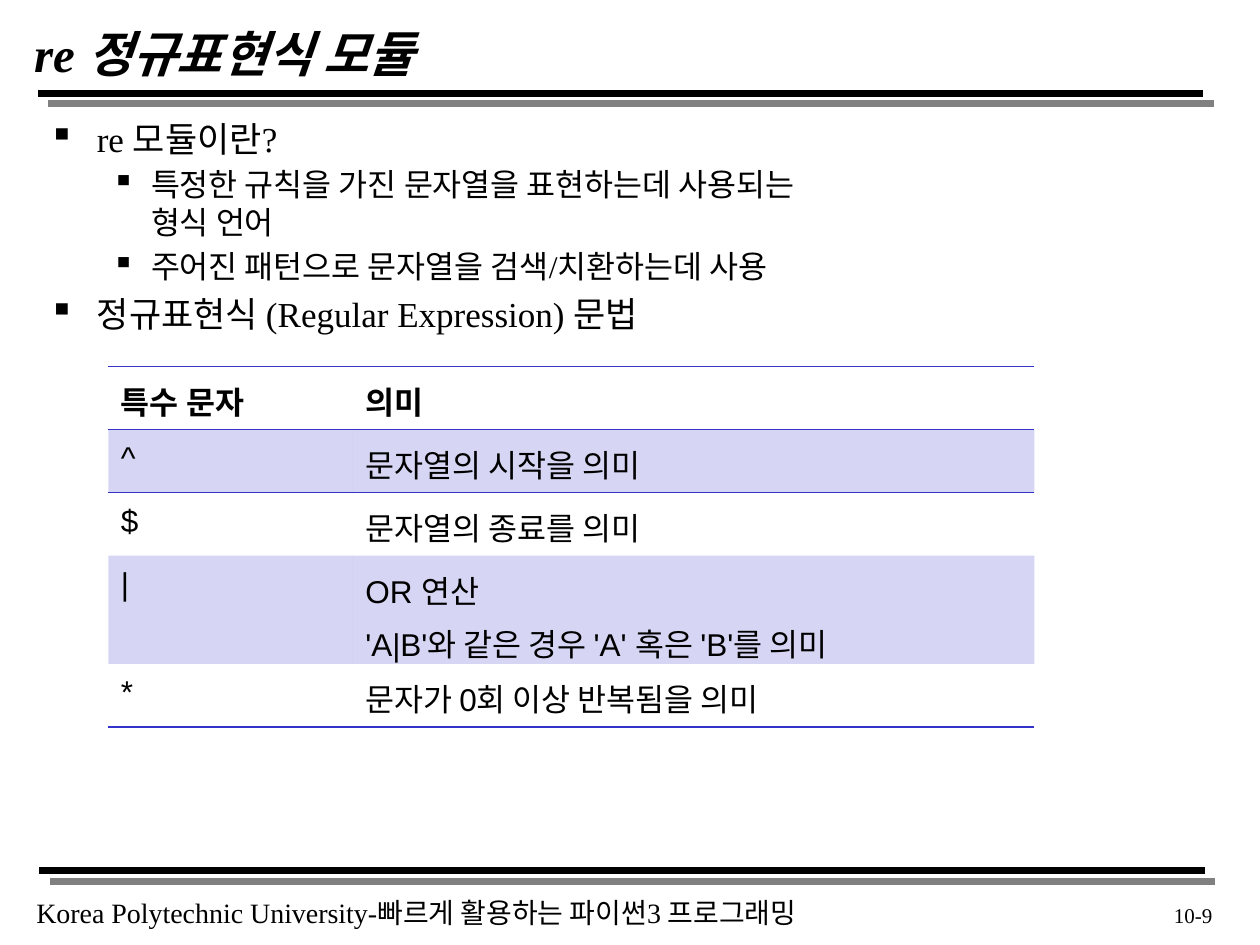
from lxml.etree import SubElement
from pptx import Presentation
from pptx.dml.color import RGBColor
from pptx.enum.shapes import MSO_CONNECTOR
from pptx.enum.text import MSO_ANCHOR, PP_ALIGN
from pptx.oxml import parse_xml
from pptx.oxml.ns import nsdecls, qn
from pptx.util import Inches, Pt

COLORS = {"ink": "000000", "shadow": "808080", "accent": "3333CC"}
SERIF, SANS = "Times New Roman", "Arial"
NO_STYLE = "{2D5ABB26-0587-4C30-8999-92F81FD0307C}"

TITLE = "re 정규표현식 모듈"
FOOTER = "Korea Polytechnic University-빠르게 활용하는 파이썬3 프로그래밍"
PAGE_NUMBER = "10-9"
# Outline level and text; \v is a line break
BULLETS = [
    (0, "re 모듈이란?"),
    (1, "특정한 규칙을 가진 문자열을 표현하는데 사용되는 \v형식 언어"),
    (1, "주어진 패턴으로 문자열을 검색/치환하는데 사용"),
    (0, "정규표현식 (Regular Expression) 문법"),
]
# Size, left margin and hanging indent of each level
LEVELS = [(20, 0.38, 0.38), (18, 0.81, 0.31)]
SYNTAX = [
    ("특수 문자", "의미"),
    ("^", "문자열의 시작을 의미"),
    ("$", "문자열의 종료를 의미"),
    ("|", "OR 연산\n'A|B'와 같은 경우 'A' 혹은 'B'를 의미"),
    ("*", "문자가 0회 이상 반복됨을 의미"),
]
COLUMN_WIDTHS = [1.94, 5.41]
ROW_HEIGHTS = [0.5, 0.5, 0.5, 0.86, 0.5]
RULES = [(0.3, 0.74), (0.31, 6.91)]
RULE_LENGTH = 9.25


def write(paragraph, text, size, name=SERIF, **formats):
    paragraph.text = text
    values = {"size": Pt(size), "name": name, **formats}
    for span in paragraph.runs:
        for key, value in values.items():
            setattr(span.font, key, value)
        span.font.color.rgb = RGBColor.from_string(COLORS["ink"])


def add_text_box(page, left, top, width, height, wrap=True):
    box = page.shapes.add_textbox(*map(Inches, (left, top, width, height)))
    box.text_frame.word_wrap = wrap
    return box.text_frame


def add_rule(page, left, top):
    rule = page.shapes.add_connector(
        MSO_CONNECTOR.STRAIGHT,
        Inches(left), Inches(top), Inches(left + RULE_LENGTH), Inches(top))
    rule.line.width = Pt(4)
    rule.line.color.rgb = RGBColor.from_string(COLORS["ink"])
    rule._element.spPr.append(parse_xml(
        f'<a:effectLst {nsdecls("a")}>'
        f'<a:outerShdw dist="{Pt(8.5)}" dir="2700000" algn="ctr" rotWithShape="0">'
        f'<a:srgbClr val="{COLORS["shadow"]}"/></a:outerShdw></a:effectLst>'))


def add_bullet(paragraph, margin, hanging):
    properties = paragraph._p.get_or_add_pPr()
    properties.set("marL", str(Inches(margin)))
    properties.set("indent", str(-Inches(hanging)))
    SubElement(properties, qn("a:buChar")).set("char", "▪")


def add_border(cell, side):
    # Borders come before the fill in the cell properties
    cell._tc.get_or_add_tcPr().insert(0, parse_xml(
        f'<a:{side} {nsdecls("a")} w="{Pt(1)}"><a:solidFill>'
        f'<a:srgbClr val="{COLORS["accent"]}"/></a:solidFill></a:{side}>'))


def add_syntax_table(page):
    frame = page.shapes.add_table(
        len(SYNTAX), len(COLUMN_WIDTHS), Inches(0.86), Inches(2.91),
        Inches(sum(COLUMN_WIDTHS)), Inches(sum(ROW_HEIGHTS)))
    table = frame.table
    table._tbl.tblPr.find(qn("a:tableStyleId")).text = NO_STYLE
    for column, width in zip(table.columns, COLUMN_WIDTHS):
        column.width = Inches(width)
    for row, height in zip(table.rows, ROW_HEIGHTS):
        row.height = Inches(height)

    for row_index, texts in enumerate(SYNTAX):
        for column_index, text in enumerate(texts):
            cell = table.cell(row_index, column_index)
            cell.margin_top = Inches(0.09)
            # Odd rows are tinted
            if row_index % 2:
                cell.fill.solid()
                cell.fill.fore_color.rgb = RGBColor.from_string(COLORS["accent"])
                color = cell._tc.tcPr.find(".//" + qn("a:srgbClr"))
                SubElement(color, qn("a:alpha")).set("val", "20000")
            else:
                cell.fill.background()
            # Header has both borders, the last row a closing one
            if row_index in (0, len(SYNTAX) - 1):
                add_border(cell, "lnB")
            if row_index in (0, 1):
                add_border(cell, "lnT")
            for index, line in enumerate(text.split("\n")):
                body = cell.text_frame
                paragraph = body.add_paragraph() if index else body.paragraphs[0]
                if index:
                    paragraph.space_before = Pt(4)
                write(paragraph, line, 18, SANS, bold=row_index == 0)


def main():
    deck = Presentation()
    deck.slide_width, deck.slide_height = Inches(10), Inches(7.5)
    page = deck.slides.add_slide(deck.slide_layouts[5])

    # Double rules and footer
    for left, top in RULES:
        add_rule(page, left, top)
    footer = add_text_box(page, 0.19, 7.06, 6.6, 0.37, wrap=False)
    write(footer.paragraphs[0], FOOTER, 16)

    # Title
    title = page.shapes.title
    title.left, title.top, title.width, title.height = map(
        Inches, (0.17, 0.17, 8.5, 0.5))
    title.text_frame.vertical_anchor = MSO_ANCHOR.MIDDLE
    heading = title.text_frame.paragraphs[0]
    heading.alignment = PP_ALIGN.LEFT
    write(heading, TITLE, 28, bold=True, italic=True)

    # Bulleted outline
    outline = add_text_box(page, 0.29, 0.88, 9.38, 5.63)
    for index, (level, text) in enumerate(BULLETS):
        paragraph = outline.add_paragraph() if index else outline.paragraphs[0]
        size, margin, hanging = LEVELS[level]
        add_bullet(paragraph, margin, hanging)
        paragraph.level = level
        if index:
            paragraph.space_before = Pt(size * 0.2)
        write(paragraph, text, size)

    # Page number
    number = add_text_box(page, 8.89, 7.11, 0.83, 0.32).paragraphs[0]
    number.alignment = PP_ALIGN.RIGHT
    write(number, PAGE_NUMBER, 12)

    add_syntax_table(page)
    deck.save("out.pptx")


if __name__ == "__main__":
    main()
